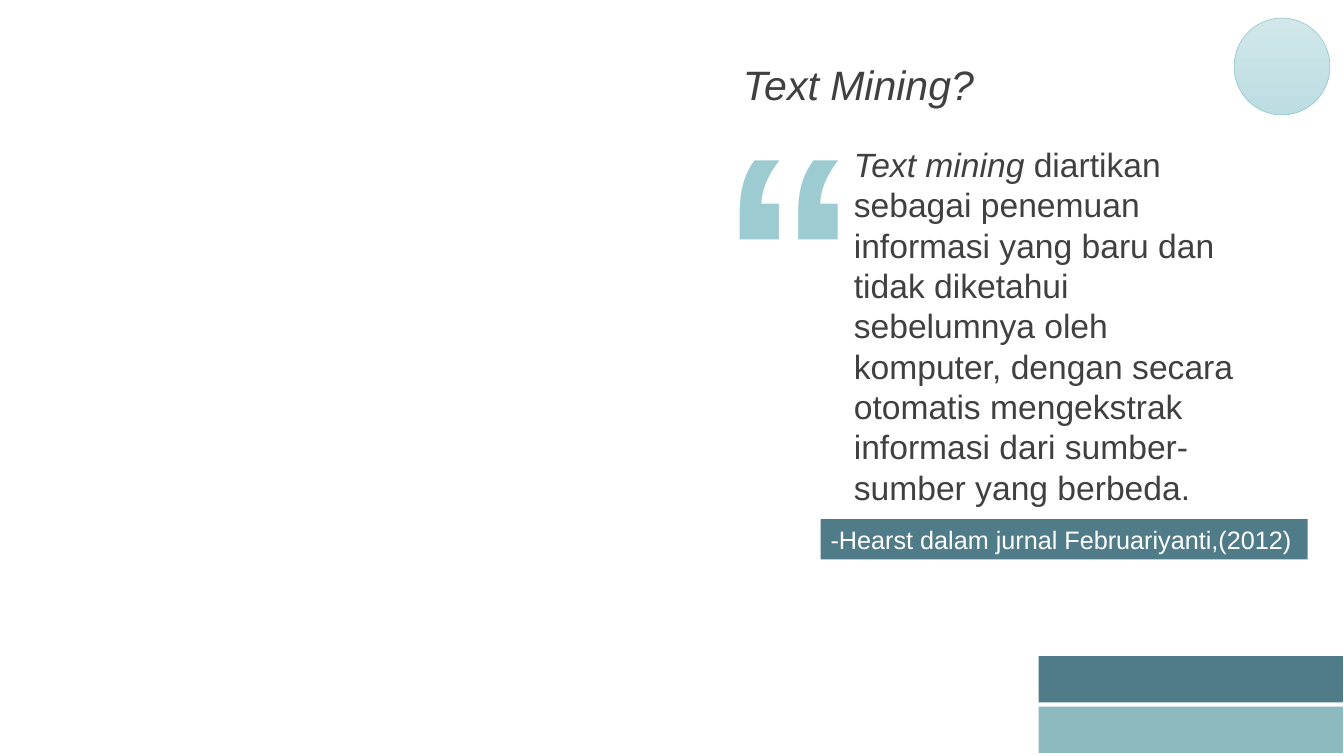
from pptx import Presentation
from pptx.dml.color import RGBColor
from pptx.enum.shapes import MSO_SHAPE as SHAPE
from pptx.enum.text import MSO_ANCHOR as ANCHOR, PP_ALIGN as ALIGN
from pptx.util import Inches, Pt

WHITE = RGBColor(0xFF, 0xFF, 0xFF)
GREY = RGBColor(0x40, 0x40, 0x40)
TEAL = RGBColor(0x50, 0x7C, 0x89)
SOFT_TEAL = RGBColor(0x8C, 0xBA, 0xBE)
AQUA = RGBColor(0x9C, 0xCC, 0xD2)
PALE_TOP = RGBColor(0xD1, 0xE7, 0xEA)
PALE_BOTTOM = RGBColor(0xBC, 0xDD, 0xE2)

prs = Presentation()
prs.slide_width, prs.slide_height = Inches(13.33), Inches(7.5)
s = prs.slides.add_slide(prs.slide_layouts[6])


def write(sp, runs, size, color, bold=False):
    """Fill a shape with one left-aligned paragraph of (text, italic) runs."""
    tf = sp.text_frame
    tf.word_wrap = True
    tf.vertical_anchor = ANCHOR.TOP
    p = tf.paragraphs[0]
    p.alignment = ALIGN.LEFT
    for text, italic in runs:
        r = p.add_run()
        r.text = text
        fmt = {"name": "Arial", "size": Pt(size), "bold": bold, "italic": italic}
        for key, value in fmt.items():
            setattr(r.font, key, value)
        r.font.color.rgb = color


def add_bar(x, y, w, h, color):
    sp = s.shapes.add_shape(SHAPE.RECTANGLE, Inches(x), Inches(y), Inches(w), Inches(h))
    sp.shadow.inherit = False
    sp.fill.solid()
    sp.fill.fore_color.rgb = color
    sp.line.fill.background()
    return sp


# Title, quotation mark and quotation
definition = (
    "diartikan sebagai penemuan informasi yang baru dan tidak diketahui "
    "sebelumnya oleh komputer, dengan secara otomatis mengekstrak informasi "
    "dari sumber-sumber yang berbeda."
)
texts = [
    ((7.27, 0.54, 3.28, 0.59), [("Text Mining?", True)], 29.3, GREY, False),
    ((7.04, 0.68, 1.77, 3.47), [("“", False)], 200, AQUA, True),
    ((8.37, 1.38, 4.21, 3.74), [("Text mining ", True), (definition, False)], 24, GREY, False),
]
for box, runs, size, color, bold in texts:
    sp = s.shapes.add_textbox(*map(Inches, box))
    write(sp, runs, size, color, bold)

# Attribution
source = add_bar(8.14, 5.15, 4.83, 0.4, TEAL)
write(source, [("-Hearst dalam jurnal Februariyanti,(2012)", False)], 18, WHITE)

# Corner bars
for i, color in enumerate([TEAL, SOFT_TEAL]):
    add_bar(10.3, 6.51 + 0.5 * i, 3.02, 0.46, color)

# Corner circle, shaded from top to bottom
circle = s.shapes.add_shape(SHAPE.OVAL, Inches(12.24), Inches(0.18), Inches(0.95), Inches(0.96))
circle.shadow.inherit = False
circle.fill.gradient()
circle.fill.gradient_angle = 270
for stop, color in zip(circle.fill.gradient_stops, [PALE_TOP, PALE_BOTTOM]):
    stop.color.rgb = color
circle.line.color.rgb = AQUA
circle.line.width = Pt(0.5)

prs.save("out.pptx")
